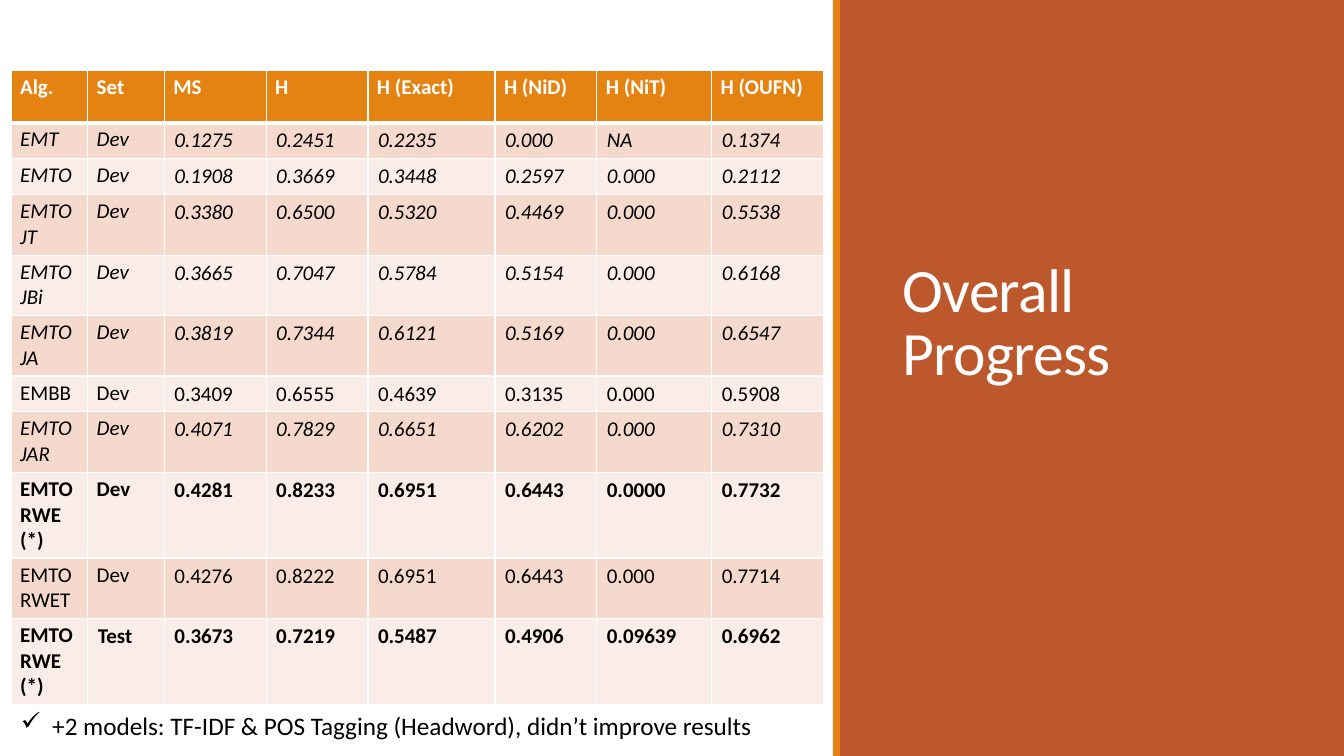
from lxml import etree
from pptx import Presentation, util as u
from pptx.dml.color import RGBColor
from pptx.enum import shapes, text
from pptx.oxml.ns import qn

COLORS = {"rust": "BD582C", "orange": "E48312", "white": "FFFFFF",
          "black": "000000", "dark_band": "F5D9CC", "light_band": "FAEDE7"}
TITLE = "Overall Progress"
NOTE = "+2 models: TF-IDF & POS Tagging (Headword), didn’t improve results"
HEADERS = ["Alg.", "Set", "MS", "H", "H (Exact)", "H (NiD)", "H (NiT)", "H (OUFN)"]
RESULTS = [
    ("italic", "EMT", "Dev", "0.1275", "0.2451", "0.2235", "0.000", "NA", "0.1374"),
    ("italic", "EMTO", "Dev", "0.1908", "0.3669", "0.3448", "0.2597", "0.000", "0.2112"),
    ("italic", "EMTO\nJT", "Dev", "0.3380", "0.6500", "0.5320", "0.4469", "0.000", "0.5538"),
    ("italic", "EMTO\nJBi", "Dev", "0.3665", "0.7047", "0.5784", "0.5154", "0.000", "0.6168"),
    ("italic", "EMTO\nJA", "Dev", "0.3819", "0.7344", "0.6121", "0.5169", "0.000", "0.6547"),
    ("plain", "EMBB", "Dev", "0.3409", "0.6555", "0.4639", "0.3135", "0.000", "0.5908"),
    ("italic", "EMTO\nJAR", "Dev", "0.4071", "0.7829", "0.6651", "0.6202", "0.000", "0.7310"),
    ("bold", "EMTO\nRWE\n(*)", "Dev", "0.4281", "0.8233", "0.6951", "0.6443", "0.0000", "0.7732"),
    ("plain", "EMTO\nRWET", "Dev", "0.4276", "0.8222", "0.6951", "0.6443", "0.000", "0.7714"),
    ("bold", "EMTO\nRWE\n(*)", "Test", "0.3673", "0.7219", "0.5487", "0.4906", "0.09639", "0.6962"),
]
COL_WIDTHS = [0.76, 0.76, 1.01, 1.01, 1.26, 1.01, 1.14, 1.11]
PANELS = [("rust", 8.33, 5.0), ("orange", 8.26, 0.07)]
LEFT, TABLE_TOP, TABLE_W = 0.11, 0.7, 8.06
HEADER_H, LINE_H, CELL_PAD = 0.52, 0.25, 0.1


def rgb(name):
    return RGBColor.from_string(COLORS[name])


def set_attrs(obj, values):
    for name, value in values.items():
        setattr(obj, name, value)


def style_font(font, size, color, **values):
    set_attrs(font, {"name": "Calibri", "size": u.Pt(size), **values})
    font.color.rgb = rgb(color)


def add_borders(cell, widths):
    tcPr = cell._tc.get_or_add_tcPr()
    for i, (side, width) in enumerate(widths.items()):
        ln = etree.Element(qn("a:ln" + side), w=str(u.Pt(width)))
        fill = etree.SubElement(ln, qn("a:solidFill"))
        etree.SubElement(fill, qn("a:srgbClr"), val=COLORS["white"])
        tcPr.insert(i, ln)


def add_panel(s, color, left, width):
    sp = s.shapes.add_shape(shapes.MSO_SHAPE.RECTANGLE, u.Inches(left), 0,
                            u.Inches(width), u.Inches(7.5))
    sp.shadow.inherit = False
    sp.fill.solid()
    sp.fill.fore_color.rgb = rgb(color)
    sp.line.fill.background()


def add_title(s):
    sp = s.shapes.title
    s.shapes._spTree.append(sp._element)
    set_attrs(sp, {"left": u.Inches(8.85), "top": u.Inches(0.7),
                   "width": u.Inches(4), "height": u.Inches(3.2)})
    tf = sp.text_frame
    tf.text = TITLE
    set_attrs(tf, {"word_wrap": True, "auto_size": text.MSO_AUTO_SIZE.NONE,
                   "vertical_anchor": text.MSO_ANCHOR.BOTTOM})
    p = tf.paragraphs[0]
    set_attrs(p, {"alignment": text.PP_ALIGN.LEFT, "line_spacing": 0.85})
    r = p.runs[0]
    style_font(r.font, 44, "white")
    r._r.get_or_add_rPr().set("spc", "-50")


def add_results(s):
    rows = [("header", *HEADERS)] + RESULTS
    heights = [HEADER_H] + [CELL_PAD + LINE_H * len(row[1].split("\n")) for row in RESULTS]
    table = s.shapes.add_table(len(rows), len(COL_WIDTHS), u.Inches(LEFT), u.Inches(TABLE_TOP),
                               u.Inches(TABLE_W), u.Inches(sum(heights))).table
    for col, width in zip(table.columns, COL_WIDTHS):
        col.width = u.Inches(width)
    for i, (style, *values) in enumerate(rows):
        header = style == "header"
        table.rows[i].height = u.Inches(heights[i])
        band = "orange" if header else "dark_band" if i % 2 else "light_band"
        for j, value in enumerate(values):
            cell = table.cell(i, j)
            cell.text = value
            if header or (j < 2 and value != "Test"):
                set_attrs(cell, {"margin_left": u.Inches(0.09), "margin_right": u.Inches(0.09),
                                 "margin_top": u.Inches(0.04), "margin_bottom": u.Inches(0.04)})
            cell.fill.solid()
            cell.fill.fore_color.rgb = rgb(band)
            add_borders(cell, {"L": 1, "R": 1, "T": 3 if i == 1 else 1, "B": 3 if header else 1})
            for p in cell.text_frame.paragraphs:
                style_font(p.runs[0].font, 15, "white" if header else "black",
                           bold=style in ("header", "bold"), italic=style == "italic")


def add_note(s):
    tf = s.shapes.add_textbox(u.Inches(LEFT), u.Inches(7), u.Inches(TABLE_W),
                              u.Inches(0.4)).text_frame
    set_attrs(tf, {"word_wrap": True, "auto_size": text.MSO_AUTO_SIZE.SHAPE_TO_FIT_TEXT})
    p = tf.paragraphs[0]
    r = p.add_run()
    r.text = NOTE
    style_font(r.font, 18, "black")
    pPr = p._p.get_or_add_pPr()
    indent = u.Inches(0.31)
    pPr.set("marL", str(indent))
    pPr.set("indent", str(-indent))
    etree.SubElement(pPr, qn("a:buChar"), char="✓")


def main():
    prs = Presentation()
    set_attrs(prs, {"slide_width": u.Inches(13.33), "slide_height": u.Inches(7.5)})
    s = prs.slides.add_slide(prs.slide_layouts[5])
    for panel in PANELS:
        add_panel(s, *panel)
    add_title(s)
    add_results(s)
    add_note(s)
    prs.save("out.pptx")


if __name__ == "__main__":
    main()
